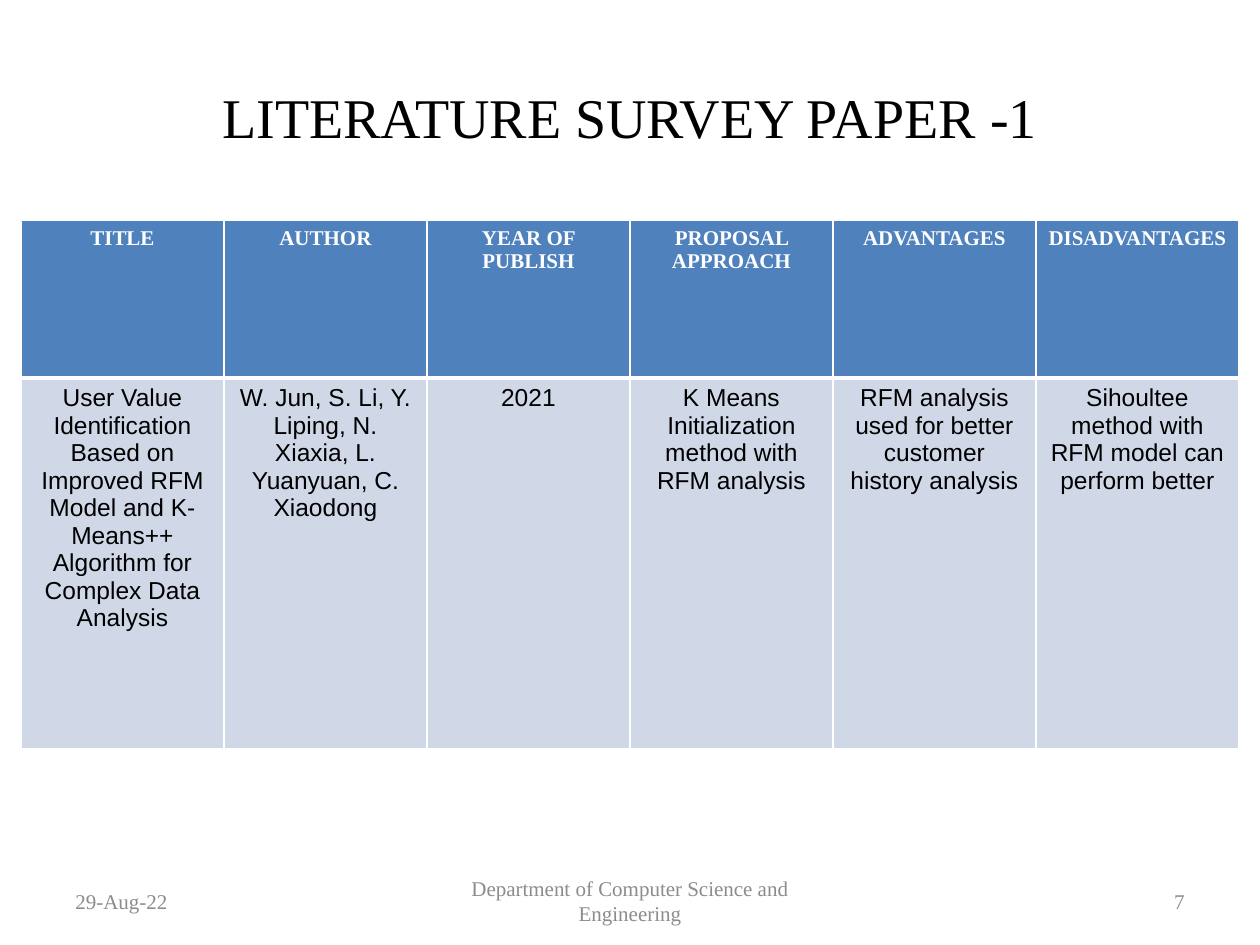
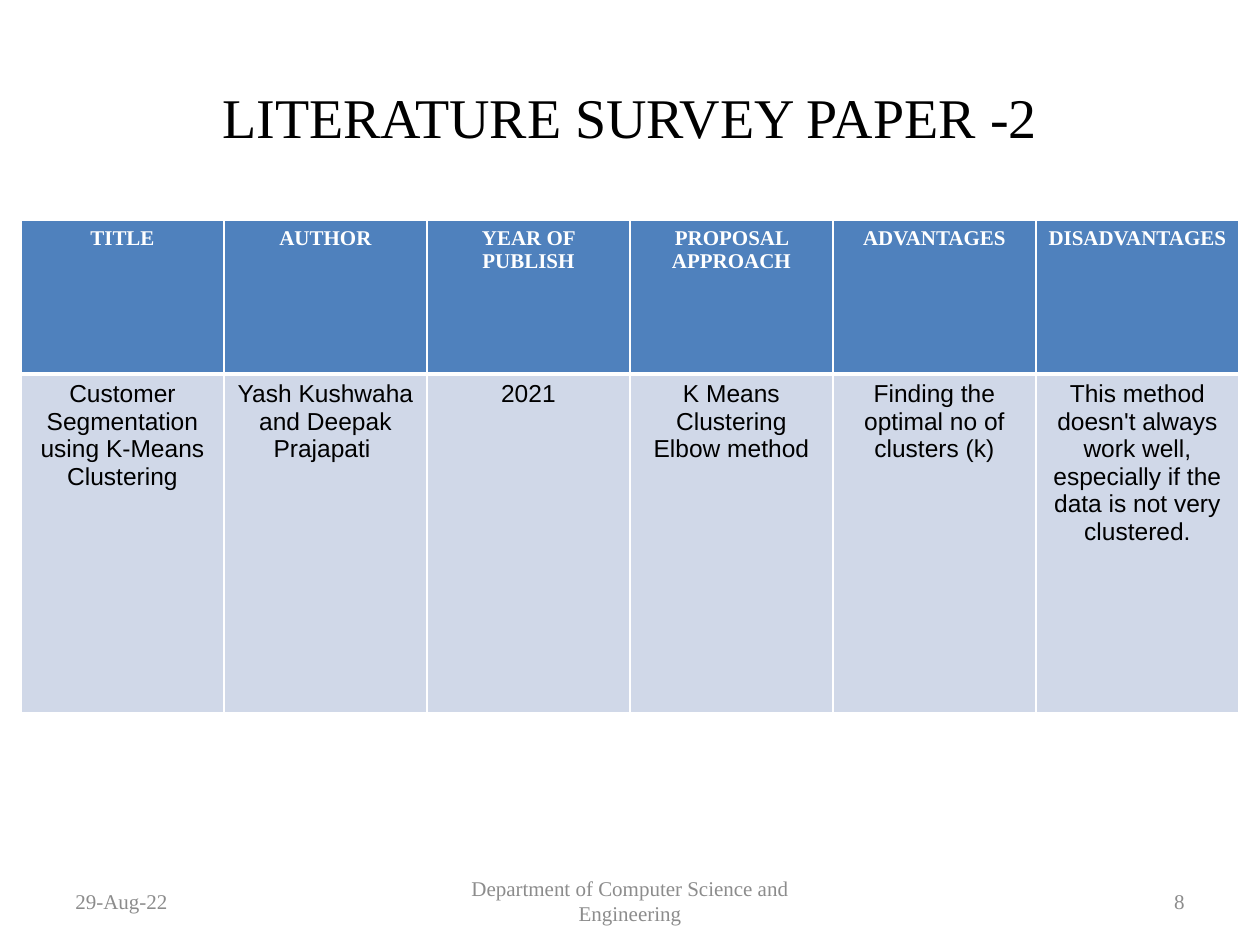
from dataclasses import dataclass

from lxml import etree
from pptx import Presentation
from pptx import util as u
from pptx.dml.color import RGBColor
from pptx.enum import text
from pptx.oxml.ns import qn


@dataclass(frozen=True)
class Theme:
    serif: str = "Times New Roman"
    sans: str = "Arial"
    black: str = "000000"
    white: str = "FFFFFF"
    grey: str = "8C8C8C"
    header_fill: str = "4F81BD"
    body_fill: str = "D0D8E8"
    title_size: int = 32
    body_size: int = 14
    small_size: int = 12
    thin_line: int = 1
    thick_line: int = 3


HEADINGS = ["TITLE", "AUTHOR", "YEAR OF PUBLISH", "PROPOSAL APPROACH",
            "ADVANTAGES", "DISADVANTAGES"]
DATE = "29-Aug-22"
DEPARTMENT = "Department of Computer Science and Engineering"
FIRST_PAGE = 7

PAPERS = [
    ((25, 58.8), [
        "User Value Identification Based on Improved RFM Model and K-Means++ "
        "Algorithm for Complex Data Analysis",
        "W. Jun, S. Li, Y. Liping, N. Xiaxia, L. Yuanyuan, C. Xiaodong",
        "2021",
        "K Means Initialization method with RFM analysis",
        "RFM analysis used for better customer history analysis",
        "Sihoultee method with RFM model can perform better",
    ]),
    ((24.4, 53.8), [
        "Customer Segmentation using K-Means Clustering",
        "Yash Kushwaha and Deepak Prajapati ",
        "2021",
        "K Means Clustering\nElbow method",
        "Finding the optimal no of clusters (k)",
        "This method doesn't always work well, especially if the data is not "
        "very clustered.",
    ]),
]


class SurveyDeck:
    GRID_COLUMNS = 60
    GRID_ROWS = 150

    def __init__(self, theme):
        self.theme = theme
        self.presentation = Presentation()
        self.presentation.slide_width = u.Inches(10)
        self.presentation.slide_height = u.Inches(7.5)
        self.slide = None

    def columns(self, count):
        return round(self.presentation.slide_width * count / self.GRID_COLUMNS)

    def rows(self, count):
        return round(self.presentation.slide_height * count / self.GRID_ROWS)

    def box(self, left, top, width, height):
        return (self.columns(left), self.rows(top),
                self.columns(width), self.rows(height))

    def new_slide(self):
        self.slide = self.presentation.slides.add_slide(
            self.presentation.slide_layouts[6])

    def set_text(self, frame, words, size, color, font, align, bold=False):
        frame.text = words
        for paragraph in frame.paragraphs:
            paragraph.alignment = align
            paragraph.font.size = u.Pt(size)
            paragraph.font.name = font
            paragraph.font.bold = bold
            paragraph.font.color.rgb = RGBColor.from_string(color)

    def label(self, words, place, size, color, align):
        frame = self.slide.shapes.add_textbox(*self.box(*place)).text_frame
        frame.word_wrap = True
        frame.vertical_anchor = text.MSO_ANCHOR.MIDDLE
        self.set_text(frame, words, size, color, self.theme.serif, align)

    def title(self, words):
        self.label(words, (3, 6, 54, 25), self.theme.title_size,
                   self.theme.black, text.PP_ALIGN.CENTER)

    def footer(self, page):
        for words, left, width, align in (
                (DATE, 3, 14, text.PP_ALIGN.LEFT),
                (DEPARTMENT, 20.5, 19, text.PP_ALIGN.CENTER),
                (str(page), 43, 14, text.PP_ALIGN.RIGHT)):
            self.label(words, (left, 139, width, 8), self.theme.small_size,
                       self.theme.grey, align)

    def borders(self, cell, top, bottom):
        properties = cell._tc.get_or_add_tcPr()
        thin = self.theme.thin_line
        for side, width in (("L", thin), ("R", thin), ("T", top), ("B", bottom)):
            line = etree.SubElement(properties, qn(f"a:ln{side}"),
                                    w=str(u.Pt(width)))
            fill = etree.SubElement(line, qn("a:solidFill"))
            etree.SubElement(fill, qn("a:srgbClr"), val=self.theme.white)

    def survey_table(self, heights, findings):
        theme = self.theme
        place = self.box(1, 35, 58, sum(heights))
        table = self.slide.shapes.add_table(2, len(HEADINGS), *place).table
        row_styles = (
            (HEADINGS, theme.header_fill, theme.thin_line, theme.thick_line,
             (theme.small_size, theme.white, theme.serif,
              text.PP_ALIGN.CENTER, True)),
            (findings, theme.body_fill, theme.thick_line, theme.thin_line,
             (theme.body_size, theme.black, theme.sans, text.PP_ALIGN.CENTER)),
        )
        for row, height, (entries, fill, top, bottom, style) in zip(
                table.rows, heights, row_styles):
            row.height = self.rows(height)
            for cell, words in zip(row.cells, entries):
                self.borders(cell, top, bottom)
                cell.fill.solid()
                cell.fill.fore_color.rgb = RGBColor.from_string(fill)
                self.set_text(cell.text_frame, words, *style)


def main():
    deck = SurveyDeck(Theme())
    for number, (heights, findings) in enumerate(PAPERS, start=1):
        deck.new_slide()
        deck.title(f"LITERATURE SURVEY PAPER -{number}")
        deck.footer(FIRST_PAGE + number - 1)
        deck.survey_table(heights, findings)
    deck.presentation.save("out.pptx")


if __name__ == "__main__":
    main()
